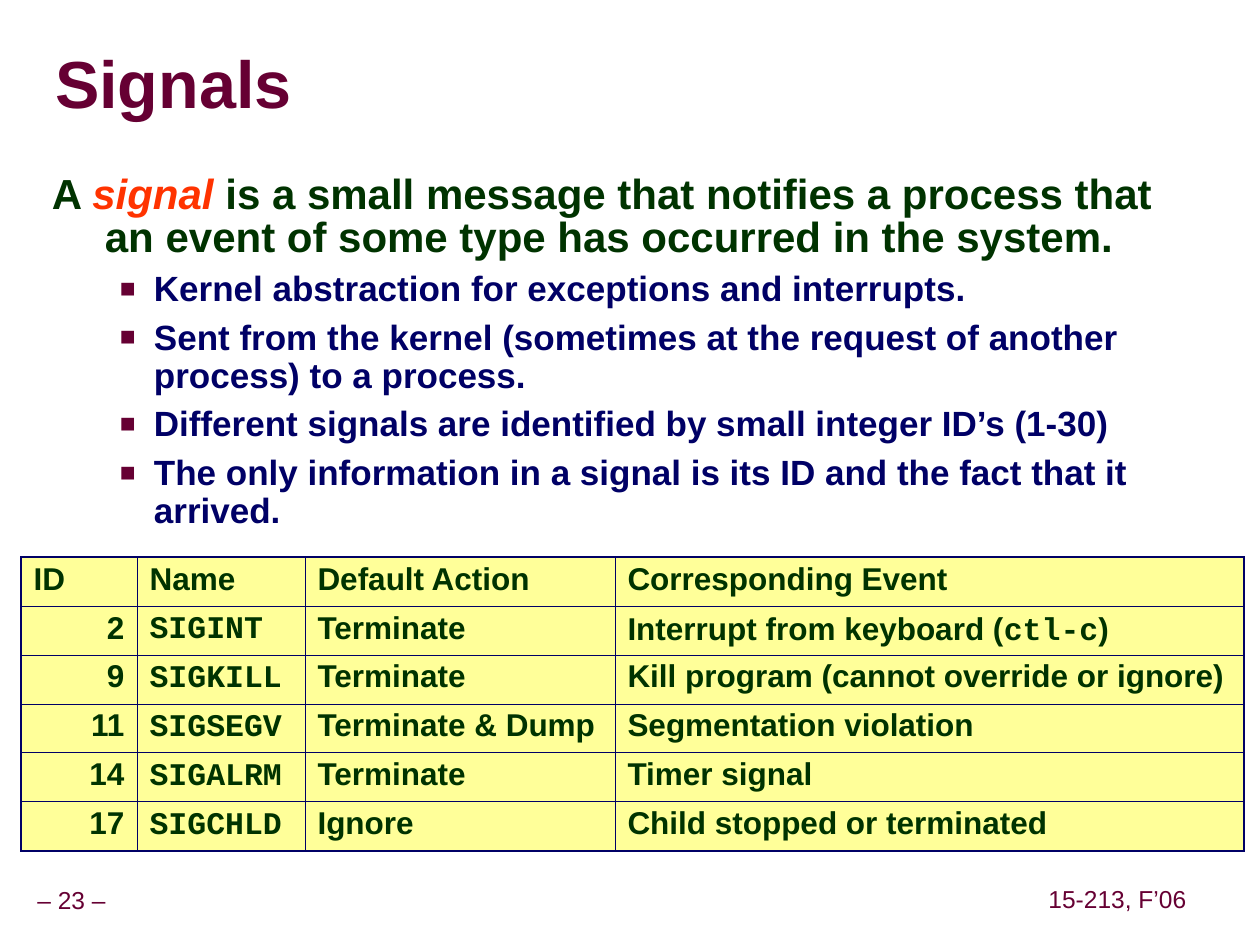
from lxml.etree import SubElement
from pptx import Presentation
from pptx.dml.color import RGBColor
from pptx.enum.text import MSO_ANCHOR, PP_ALIGN
from pptx.oxml.ns import qn
from pptx.util import Emu, Pt

COLORS = {"wine": "660033", "green": "003300", "red": "FF3300",
          "navy": "000066", "cream": "FFFF99", "gray": "969696"}
SANS, MONO = "Arial", "Courier New"

# Boxes are left, top, width, height in px.
TITLE = ("Signals", (55, 34, 1201, 107))
FOOTERS = [("– 23 –", (0, 882, 143, 39)),
           ("15-213, F’06", (1042, 881, 151, 39))]
BODY = (40, 169, 1145, 378)
LEAD = [("A ", "green", False), ("signal", "red", True),
        (" is a small message that notifies a process that an event "
         "of some type has occurred in the system.", "green", False)]
POINTS = [
    "Kernel abstraction for exceptions and interrupts.",
    "Sent from the kernel (sometimes at the request of another process) "
    "to a process.",
    "Different signals are identified by small integer ID’s (1-30)",
    "The only information in a signal is its ID and the fact that it arrived.",
]
GRID = (21, 557)
COLS = [116, 168, 310, 629]
ROW = 49
HEAD = ["ID", "Name", "Default Action", "Corresponding Event"]
# Each event is a list of (text, font) runs.
SIGNALS = [
    ("2", "SIGINT", "Terminate",
     [("Interrupt from keyboard (", SANS), ("ctl-c", MONO), (")", SANS)]),
    ("9", "SIGKILL", "Terminate",
     [("Kill program (cannot override or ignore)", SANS)]),
    ("11", "SIGSEGV", "Terminate & Dump", [("Segmentation violation", SANS)]),
    ("14", "SIGALRM", "Terminate", [("Timer signal", SANS)]),
    ("17", "SIGCHLD", "Ignore", [("Child stopped or terminated", SANS)]),
]


def px(n):
    return Emu(round(n * 914400 / 126))


def rgb(name):
    return RGBColor.from_string(COLORS[name])


def add_run(para, text, size, color, face=SANS, bold=True, italic=False):
    run = para.add_run()
    run.text = text
    font = run.font
    font.name, font.size = face, Pt(size)
    font.bold, font.italic = bold, italic
    font.color.rgb = rgb(color)
    return run


def add_box(slide, box, pad=(0, 0), anchor=MSO_ANCHOR.MIDDLE, wrap=True):
    frame = slide.shapes.add_textbox(*map(px, box)).text_frame
    frame.word_wrap, frame.vertical_anchor = wrap, anchor
    frame.margin_left = frame.margin_right = px(pad[0])
    frame.margin_top = frame.margin_bottom = px(pad[1])
    return frame


def indent(para, left, first):
    props = para._p.get_or_add_pPr()
    props.set("marL", str(px(left)))
    props.set("indent", str(px(first)))
    return props


def add_bullet(props):
    color = SubElement(props, qn("a:buClr"))
    SubElement(color, qn("a:srgbClr"), val=COLORS["wine"])
    SubElement(props, qn("a:buSzPct"), val="75000")
    SubElement(props, qn("a:buFont"), typeface=SANS)
    SubElement(props, qn("a:buChar"), char="■")


def add_shadow(run):
    props = run._r.get_or_add_rPr()
    effects = props.makeelement(qn("a:effectLst"), {})
    props.find(qn("a:solidFill")).addnext(effects)
    shadow = SubElement(effects, qn("a:outerShdw"), dist="53882", dir="2700000")
    SubElement(shadow, qn("a:srgbClr"), val=COLORS["gray"])


def add_border(cell, side, points):
    line = SubElement(cell._tc.get_or_add_tcPr(), qn("a:ln" + side),
                      w=str(Pt(points)))
    fill = SubElement(line, qn("a:solidFill"))
    SubElement(fill, qn("a:srgbClr"), val=COLORS["navy"])


def add_title(slide):
    text, box = TITLE
    para = add_box(slide, box).paragraphs[0]
    para.line_spacing = 0.87
    add_shadow(add_run(para, text, 38, "wine"))


def add_body(slide):
    frame = add_box(slide, BODY, (12, 6), MSO_ANCHOR.TOP)
    para = frame.paragraphs[0]
    indent(para, 53, -53)
    para.line_spacing = 0.85
    for text, color, italic in LEAD:
        add_run(para, text, 24, color, italic=italic)
    for text in POINTS:
        para = frame.add_paragraph()
        para.level = 1
        add_bullet(indent(para, 102, -34))
        para.line_spacing, para.space_before = 0.9, Pt(6.2)
        add_run(para, text, 20, "navy")


def add_grid(slide):
    rows = [[[(text, SANS)] for text in HEAD]]
    for num, name, action, event in SIGNALS:
        rows.append([[(num, SANS)], [(name, MONO)], [(action, SANS)], event])
    high, wide = len(rows), len(COLS)
    table = slide.shapes.add_table(high, wide, *map(
        px, (*GRID, sum(COLS), ROW * high))).table
    table.first_row = table.horz_banding = False
    for col, width in zip(table.columns, COLS):
        col.width = px(width)
    for r, row in enumerate(rows):
        table.rows[r].height = px(ROW)
        for c, runs in enumerate(row):
            cell = table.cell(r, c)
            edges = {"L": c == 0, "R": c == wide - 1,
                     "T": r == 0, "B": r == high - 1}
            for side, outer in edges.items():
                add_border(cell, side, 1.08 if outer else 0.45)
            cell.fill.solid()
            cell.fill.fore_color.rgb = rgb("cream")
            para = cell.text_frame.paragraphs[0]
            para.line_spacing = 0.95
            if r and c == 0:
                para.alignment = PP_ALIGN.RIGHT
            for text, face in runs:
                add_run(para, text, 18, "green", face)


def main():
    deck = Presentation()
    deck.slide_width, deck.slide_height = px(1260), px(945)
    slide = deck.slides.add_slide(deck.slide_layouts[6])
    for text, box in FOOTERS:
        para = add_box(slide, box, (6, 6), wrap=False).paragraphs[0]
        para.alignment, para.line_spacing = PP_ALIGN.CENTER, 0.9
        add_run(para, text, 14, "wine", bold=False)
    add_title(slide)
    add_body(slide)
    add_grid(slide)
    deck.save("out.pptx")


if __name__ == "__main__":
    main()
